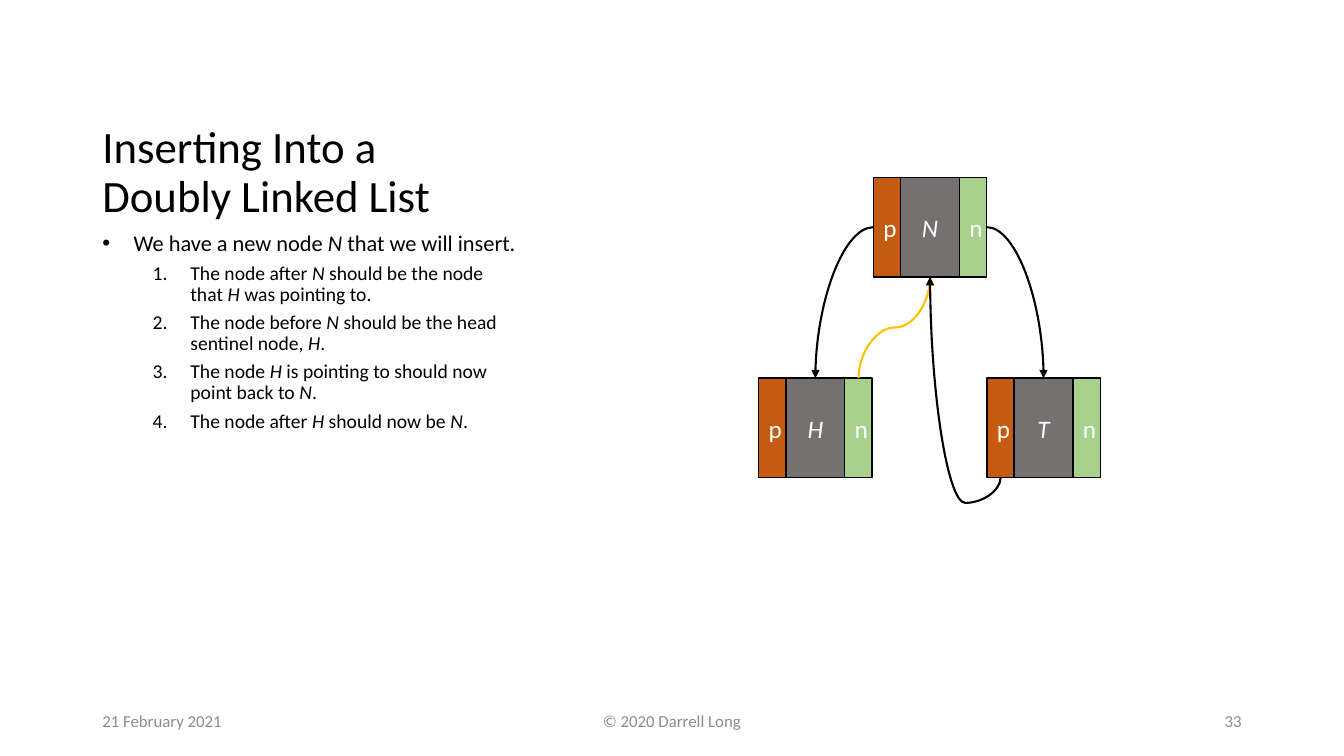
from lxml import etree
from pptx import Presentation
from pptx.dml.color import RGBColor
from pptx.enum.shapes import MSO_CONNECTOR, MSO_SHAPE
from pptx.enum.text import MSO_ANCHOR as Anchor, PP_ALIGN as Align
from pptx.oxml.ns import qn
from pptx.util import Cm, Pt

COLORS = {
    "black": "000000", "white": "FFFFFF", "footer": "8C8C8C",
    "previous": "C55A11", "data": "767171", "next": "A9D18E", "yellow": "FFC000",
}
FONT = "Calibri"
NODE_HEIGHT = 2.51
LINK_WIDTH, DATA_WIDTH = 0.69, 1.48
STEPS = [
    "The node after *N* should be the node that *H* was pointing to.",
    "The node before *N* should be the head sentinel node, *H*.",
    "The node *H* is pointing to should now point back to *N*.",
    "The node after *H* should now be *N*.",
]


def color(name):
    return RGBColor.from_string(COLORS[name])


def set_font(paragraph, size, color_name):
    paragraph.font.name = FONT
    paragraph.font.size = Pt(size)
    paragraph.font.color.rgb = color(color_name)


def add_text_frame(slide, box, anchor=Anchor.TOP):
    frame = slide.shapes.add_textbox(*map(Cm, box)).text_frame
    frame.word_wrap = True
    frame.vertical_anchor = anchor
    return frame


def add_title(slide, box):
    paragraph = add_text_frame(slide, box, Anchor.BOTTOM).paragraphs[0]
    paragraph.text = "Inserting Into a Doubly Linked List"
    paragraph.line_spacing = 0.9
    set_font(paragraph, 32, "black")


def add_list_item(paragraph, text, size, indent, hanging, bullet, **bullet_values):
    """Fill one list paragraph; words between asterisks are italic."""
    properties = paragraph._p.get_or_add_pPr()
    properties.set("marL", str(Cm(indent)))
    properties.set("indent", str(-Cm(hanging)))
    etree.SubElement(properties, qn("a:buFont"), typeface="Arial" if bullet == "a:buChar" else FONT)
    etree.SubElement(properties, qn(bullet), **bullet_values)
    paragraph.line_spacing = 0.9
    set_font(paragraph, size, "black")
    for position, part in enumerate(text.split("*")):
        run = paragraph.add_run()
        run.text = part
        if position % 2:
            run.font.italic = True


def add_body(slide, box):
    frame = add_text_frame(slide, box)
    add_list_item(frame.paragraphs[0], "We have a new node *N* that we will insert.",
                  16, 0.79, 0.79, "a:buChar", char="•")
    for step in STEPS:
        paragraph = frame.add_paragraph()
        paragraph.level = 1
        paragraph.space_before = Pt(5)
        add_list_item(paragraph, step, 14, 2.22, 0.95, "a:buAutoNum", type="arabicPeriod")


def add_footer(slide, box):
    left, top, width, height = box
    side, middle = 7.62, 11.43
    for text, x, part_width, alignment in [
        ("21 February 2021", left, side, Align.LEFT),
        ("© 2020 Darrell Long", left + (width - middle) / 2, middle, Align.CENTER),
        ("33", left + width - side, side, Align.RIGHT),
    ]:
        frame = add_text_frame(slide, (x, top, part_width, height), Anchor.MIDDLE)
        paragraph = frame.paragraphs[0]
        paragraph.text = text
        paragraph.alignment = alignment
        set_font(paragraph, 12, "footer")


def add_node(slide, name, left, top):
    """Draw a node and return the points where links meet it."""
    group = slide.shapes.add_group_shape()
    x = left
    for text, width, fill in [("p", LINK_WIDTH, "previous"), (name, DATA_WIDTH, "data"),
                              ("n", LINK_WIDTH, "next")]:
        cell = group.shapes.add_shape(MSO_SHAPE.RECTANGLE, Cm(x), Cm(top), Cm(width), Cm(NODE_HEIGHT))
        cell.shadow.inherit = False
        cell.fill.solid()
        cell.fill.fore_color.rgb = color(fill)
        cell.line.color.rgb = color("black")
        cell.line.width = Pt(1)
        cell.text_frame.vertical_anchor = Anchor.MIDDLE
        paragraph = cell.text_frame.paragraphs[0]
        paragraph.text = text
        paragraph.alignment = Align.CENTER
        set_font(paragraph, 18, "white")
        paragraph.font.italic = fill == "data"
        x += width
    center, bottom = (left + x) / 2, top + NODE_HEIGHT
    return {
        "left": (left, top + NODE_HEIGHT / 2), "right": (x, top + NODE_HEIGHT / 2),
        "top": (center, top), "bottom": (center, bottom),
        "previous bottom": (left + LINK_WIDTH / 2, bottom),
        "next top": (x - LINK_WIDTH / 2, top),
    }


def add_link(slide, start, end, color_name="black", bend=None):
    """Curve from start to end; with a bend it leaves and arrives vertically."""
    if bend is not None:
        # Lay the curve on its side around its centre, to be turned by 90 degrees
        center_x, center_y = (start[0] + end[0]) / 2, (start[1] + end[1]) / 2
        start, end = [(center_x + y - center_y, center_y - x + center_x) for x, y in (start, end)]
    connector = slide.shapes.add_connector(MSO_CONNECTOR.CURVE, *map(Cm, start + end))
    properties = connector._element.spPr
    geometry = properties.find(qn("a:prstGeom"))
    if bend is None:
        geometry.set("prst", "curvedConnector2")
    else:
        properties.find(qn("a:xfrm")).set("rot", "5400000")
        adjustments = geometry.find(qn("a:avLst"))
        etree.SubElement(adjustments, qn("a:gd"), name="adj1", fmla=f"val {round(bend * 100000)}")
    connector.line.color.rgb = color(color_name)
    connector.line.width = Pt(1.5)
    etree.SubElement(properties.find(qn("a:ln")), qn("a:tailEnd"), type="triangle")
    etree.SubElement(properties, qn("a:effectLst"))


def add_diagram(slide, box):
    left, top, width, height = box
    node_width = 2 * LINK_WIDTH + DATA_WIDTH
    lower = top + height - NODE_HEIGHT
    head = add_node(slide, "H", left, lower)
    tail = add_node(slide, "T", left + width - node_width, lower)
    new_left = left + width - 2 * node_width
    new_bottom = (new_left + node_width / 2, top + NODE_HEIGHT)
    # Links into the new node lie behind it
    add_link(slide, head["next top"], new_bottom, "yellow", bend=0.5)
    add_link(slide, tail["previous bottom"], new_bottom, bend=-0.125)
    new = add_node(slide, "N", new_left, top)
    add_link(slide, new["right"], tail["top"])
    add_link(slide, new["left"], head["top"])


def main():
    presentation = Presentation()
    presentation.slide_width, presentation.slide_height = Cm(33.87), Cm(19.05)
    slide = presentation.slides.add_slide(presentation.slide_layouts[6])
    add_title(slide, (2.33, 1.27, 10.92, 4.45))
    add_body(slide, (2.33, 5.72, 10.92, 10.59))
    add_footer(slide, (2.33, 17.66, 29.21, 1.01))
    add_diagram(slide, (19.12, 4.47, 8.61, 7.57))
    presentation.save("out.pptx")


if __name__ == "__main__":
    main()
